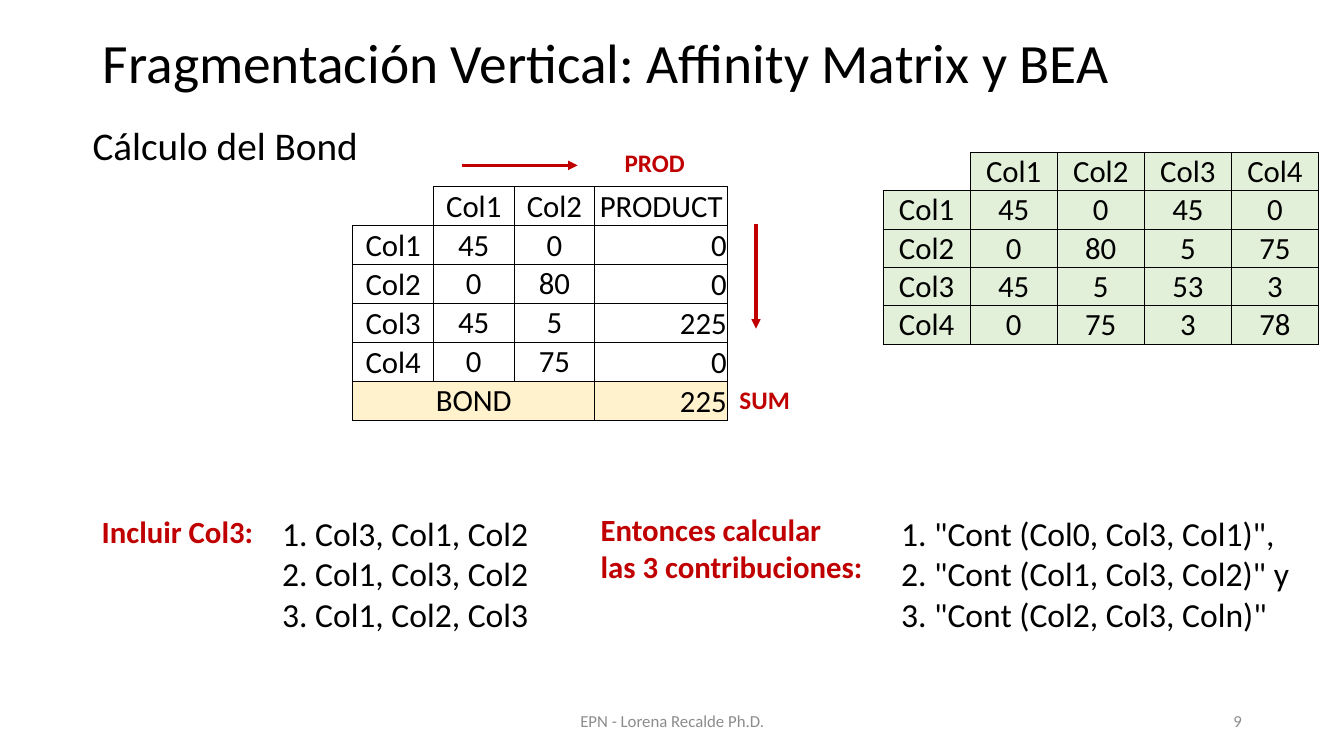
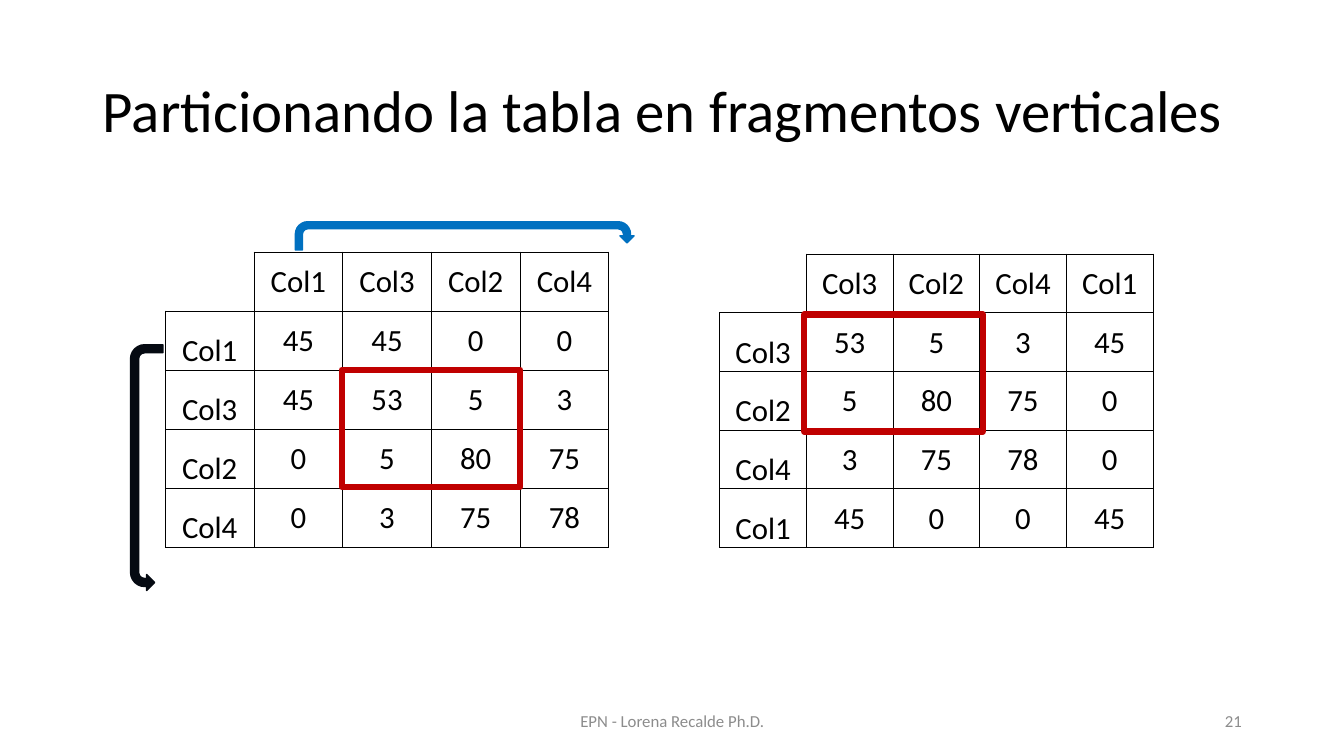
"""Build two slides on vertical fragmentation with affinity matrices."""
from dataclasses import dataclass
from typing import NamedTuple, Optional

from lxml import etree
from pptx import Presentation
from pptx.dml.color import RGBColor
from pptx.enum.shapes import MSO_CONNECTOR, MSO_SHAPE
from pptx.enum.text import MSO_ANCHOR, MSO_AUTO_SIZE, PP_ALIGN
from pptx.oxml.ns import qn
from pptx.slide import Slide
from pptx.text.text import TextFrame
from pptx.util import Inches, Pt

LEFT, CENTER, RIGHT = PP_ALIGN.LEFT, PP_ALIGN.CENTER, PP_ALIGN.RIGHT
TOP, MIDDLE, BOTTOM = MSO_ANCHOR.TOP, MSO_ANCHOR.MIDDLE, MSO_ANCHOR.BOTTOM
NO_AUTOFIT = MSO_AUTO_SIZE.NONE
STRAIGHT = MSO_CONNECTOR.STRAIGHT
RECTANGLE, U_TURN = MSO_SHAPE.RECTANGLE, MSO_SHAPE.U_TURN_ARROW
TITLE_ONLY = 5
SLIDE_WIDTH, SLIDE_HEIGHT = Inches(13.33), Inches(7.5)


@dataclass(frozen=True)
class Theme:
    """Colours, font and type sizes of the deck."""
    font: str = "Calibri"
    ink: str = "000000"
    muted: str = "8C8C8C"
    accent: str = "C00000"
    blue: str = "0070C0"
    night: str = "050A12"
    green: str = "E2F0D9"
    cream: str = "FFF2CC"
    footer_size: float = 12
    label_size: float = 18
    cell_size: float = 22
    list_size: float = 24
    subtitle_size: float = 28
    border: float = 0.5
    arrow: float = 2.25
    cluster: float = 4.5


THEME = Theme()


class Box(NamedTuple):
    """A place on the slide, in percent of its width and height."""
    left: float
    top: float
    width: float
    height: float


@dataclass(frozen=True)
class Style:
    """How a block of text looks."""
    size: float
    color: str = THEME.ink
    bold: bool = False
    align: PP_ALIGN = LEFT
    anchor: MSO_ANCHOR = TOP
    spacing: Optional[float] = None


@dataclass(frozen=True)
class Label:
    """A text box, one paragraph a line."""
    box: Box
    lines: tuple[str, ...]
    style: Style


@dataclass(frozen=True)
class Arrow:
    """A straight arrow between two points."""
    start: tuple[float, float]
    end: tuple[float, float]


@dataclass(frozen=True)
class Matrix:
    """A table whose top left corner cell is blank."""
    left: float
    top: float
    columns: tuple[float, ...]
    row: float
    cells: tuple[tuple[str, ...], ...]
    fill: Optional[str] = None
    total: bool = False


@dataclass(frozen=True)
class Turn:
    """A U-turn arrow."""
    box: Box
    color: str
    rotation: float = 0
    mirrored: bool = False


BODY = Style(THEME.list_size)
HEADING = Style(THEME.cell_size, THEME.accent, True)
TAG = Style(THEME.label_size, THEME.accent, True, CENTER)
SUBTITLE = Style(THEME.subtitle_size, anchor=MIDDLE, spacing=0.9)
FOOTER = Style(THEME.footer_size, THEME.muted, align=CENTER, anchor=MIDDLE)
NUMBER = Style(THEME.footer_size, THEME.muted, align=RIGHT, anchor=MIDDLE)

AFFINITY = {
    "Col1": {"Col1": 45, "Col2": 0, "Col3": 45, "Col4": 0},
    "Col2": {"Col1": 0, "Col2": 80, "Col3": 5, "Col4": 75},
    "Col3": {"Col1": 45, "Col2": 5, "Col3": 53, "Col4": 3},
    "Col4": {"Col1": 0, "Col2": 75, "Col3": 3, "Col4": 78},
}


def across(share: float) -> int:
    """Turn a percentage of the slide's width into a length."""
    return round(SLIDE_WIDTH * share / 100)


def down(share: float) -> int:
    """Turn a percentage of the slide's height into a length."""
    return round(SLIDE_HEIGHT * share / 100)


def place(box: Box) -> tuple[int, int, int, int]:
    """Turn a box into left, top, width and height."""
    return across(box.left), down(box.top), across(box.width), down(box.height)


def affinity_rows(order: tuple[str, ...]) -> tuple[tuple[str, ...], ...]:
    """Lay out the affinities with rows and columns in the given order."""
    body = tuple((name, *(str(AFFINITY[name][other]) for other in order)) for name in order)
    return (("", *order), *body)


def bond_rows(first: str, second: str) -> tuple[tuple[str, ...], ...]:
    """Lay out the products of two columns and their sum, the bond."""
    pairs = [(name, row[first], row[second]) for name, row in AFFINITY.items()]
    body = tuple((name, str(a), str(b), str(a * b)) for name, a, b in pairs)
    bond = str(sum(a * b for _, a, b in pairs))
    return (("", first, second, "PRODUCT"), *body, ("BOND", "", "", bond))


def write(frame: TextFrame, lines: tuple[str, ...], style: Style) -> None:
    """Fill a text frame, one paragraph a line."""
    frame.vertical_anchor = style.anchor
    for index, line in enumerate(lines):
        para = frame.add_paragraph() if index else frame.paragraphs[0]
        para.alignment = style.align
        if style.spacing:
            para.line_spacing = style.spacing
        span = para.add_run()
        span.text = line
        span.font.name = THEME.font
        span.font.size = Pt(style.size)
        span.font.bold = style.bold
        span.font.color.rgb = RGBColor.from_string(style.color)


def add_label(page: Slide, label: Label) -> None:
    """Add a text box."""
    frame = page.shapes.add_textbox(*place(label.box)).text_frame
    frame.word_wrap = True
    write(frame, label.lines, label.style)


def add_arrow(page: Slide, arrow: Arrow) -> None:
    """Add a straight arrow with a triangular head."""
    (x1, y1), (x2, y2) = arrow.start, arrow.end
    line = page.shapes.add_connector(STRAIGHT, across(x1), down(y1), across(x2), down(y2))
    line.line.color.rgb = RGBColor.from_string(THEME.accent)
    line.line.width = Pt(THEME.arrow)
    properties = line.element.spPr
    etree.SubElement(properties.find(qn("a:ln")), qn("a:tailEnd"), type="triangle")
    etree.SubElement(properties, qn("a:effectLst"))


def add_cluster(page: Slide, box: Box) -> None:
    """Outline a cluster of cells."""
    outline = page.shapes.add_shape(RECTANGLE, *place(box))
    outline.shadow.inherit = False
    outline.fill.background()
    outline.line.color.rgb = RGBColor.from_string(THEME.accent)
    outline.line.width = Pt(THEME.cluster)


def add_turn(page: Slide, turn: Turn) -> None:
    """Add a U-turn arrow."""
    shape = page.shapes.add_shape(U_TURN, *place(turn.box))
    shape.shadow.inherit = False
    color = RGBColor.from_string(turn.color)
    shape.fill.solid()
    shape.fill.fore_color.rgb = color
    shape.line.color.rgb = color
    shape.line.width = Pt(1)
    shape.rotation = turn.rotation
    if turn.mirrored:
        shape.element.spPr.find(qn("a:xfrm")).set("flipH", "1")


def draw_borders(properties: etree.ElementBase, shown: str) -> None:
    """Draw the named sides of a cell and clear the others."""
    for index, side in enumerate("LRTB"):
        line = etree.Element(qn(f"a:ln{side}"), w=str(Pt(THEME.border)))
        if side in shown:
            fill = etree.SubElement(line, qn("a:solidFill"))
            etree.SubElement(fill, qn("a:srgbClr"), val=THEME.ink)
        else:
            etree.SubElement(line, qn("a:noFill"))
        properties.insert(index, line)


def add_matrix(page: Slide, matrix: Matrix) -> None:
    """Add a bordered matrix with a blank corner."""
    count = len(matrix.cells)
    box = Box(matrix.left, matrix.top, sum(matrix.columns), matrix.row * count)
    table = page.shapes.add_table(count, len(matrix.columns), *place(box)).table
    table.first_row = table.horz_banding = False
    for column, width in zip(table.columns, matrix.columns):
        column.width = across(width)
    for row in table.rows:
        row.height = down(matrix.row)
    if matrix.total:
        table.cell(count - 1, 0).merge(table.cell(count - 1, len(matrix.columns) - 2))
    for r, values in enumerate(matrix.cells):
        last = matrix.total and r == count - 1
        for c, value in enumerate(values):
            cell = table.cell(r, c)
            corner = r == c == 0
            product = matrix.total and r > 0 and c == len(values) - 1
            fill = THEME.cream if last else matrix.fill
            cell.margin_left = cell.margin_right = cell.margin_top = Inches(0.01)
            cell.margin_bottom = 0
            if fill and not corner:
                cell.fill.solid()
                cell.fill.fore_color.rgb = RGBColor.from_string(fill)
            else:
                cell.fill.background()
            low = product or (c == 0 and not last)
            cell.vertical_anchor = BOTTOM if low else MIDDLE
            if value:
                style = Style(THEME.cell_size, align=RIGHT if product else CENTER,
                              anchor=cell.vertical_anchor)
                write(cell.text_frame, (value,), style)
            draw_borders(cell._tc.get_or_add_tcPr(), "RB" if corner else "LRTB")


def add_page(deck: Presentation, title: str, size: float, height: float, number: int) -> Slide:
    """Add a slide with its title, footer and number."""
    page = deck.slides.add_slide(deck.slide_layouts[TITLE_ONLY])
    heading = page.shapes.title
    heading.left, heading.top, heading.width, heading.height = place(Box(6.9, 5.33, 86.25, height))
    heading.text_frame.auto_size = NO_AUTOFIT
    heading.text_frame.word_wrap = True
    write(heading.text_frame, (title,), Style(size, anchor=MIDDLE, spacing=0.9))
    add_label(page, Label(Box(33.15, 92.67, 33.75, 5.33), ("EPN - Lorena Recalde Ph.D.",), FOOTER))
    add_label(page, Label(Box(70.65, 92.67, 22.5, 5.33), (str(number),), NUMBER))
    return page


def build_bond(deck: Presentation) -> None:
    """Build the slide that computes the bond."""
    page = add_page(deck, "Fragmentación Vertical: Affinity Matrix y BEA", 39.6, 6.8, 9)
    add_matrix(page, Matrix(26.25, 24.67, (6, 6, 6, 9.9), 5.16, bond_rows("Col1", "Col2"),
                            total=True))
    add_matrix(page, Matrix(65.7, 20.13, (6.48,) * 5, 5.08, affinity_rows(tuple(AFFINITY)),
                            THEME.green))
    for arrow in (Arrow((56.25, 29.6), (56.25, 43.47)), Arrow((34.35, 21.87), (42.98, 21.87))):
        add_arrow(page, arrow)
    orders = ("1. Col3, Col1, Col2", "2. Col1, Col3, Col2", "3. Col1, Col2, Col3")
    contributions = ('1. "Cont (Col0, Col3, Col1)",', '2. "Cont (Col1, Col3, Col2)" y',
                     '3. "Cont (Col2, Col3, Coln)"')
    for label in (
        Label(Box(6.15, 16, 26.93, 7.07), ("Cálculo del Bond",), SUBTITLE),
        Label(Box(53.48, 50.13, 6.83, 5.33), ("SUM",), TAG),
        Label(Box(44.93, 18.8, 7.58, 5.33), ("PROD",), TAG),
        Label(Box(6.83, 67.2, 14.5, 6.27), ("Incluir Col3:",), HEADING),
        Label(Box(20.25, 67.2, 21.75, 17.47), orders, BODY),
        Label(Box(66.3, 67.2, 32.25, 17.47), contributions, BODY),
        Label(Box(43.95, 66.93, 22.35, 11.2), ("Entonces calcular", "las 3 contribuciones:"),
              HEADING),
    ):
        add_label(page, label)


def build_partition(deck: Presentation) -> None:
    """Build the slide that partitions the table."""
    page = add_page(deck, "Particionando la tabla en fragmentos verticales", 42, 19.33, 21)
    clustered = affinity_rows(("Col1", "Col3", "Col2", "Col4"))
    shifted = affinity_rows(("Col3", "Col2", "Col4", "Col1"))
    add_matrix(page, Matrix(12.3, 33.33, (6.6,) * 5, 7.81, clustered))
    add_matrix(page, Matrix(53.55, 33.6, (6.45,) * 5, 7.76, shifted))
    for left, top in ((25.43, 48.93), (59.85, 41.6)):
        add_cluster(page, Box(left, top, 13.28, 15.47))
    add_turn(page, Turn(Box(21.98, 29.33, 25.2, 3.73), THEME.blue))
    add_turn(page, Turn(Box(1.76, 59.73, 18.3, 4.27), THEME.night, 270, True))


def main() -> None:
    """Build and save the deck."""
    deck = Presentation()
    deck.slide_width, deck.slide_height = SLIDE_WIDTH, SLIDE_HEIGHT
    build_bond(deck)
    build_partition(deck)
    deck.save("out.pptx")


main()
